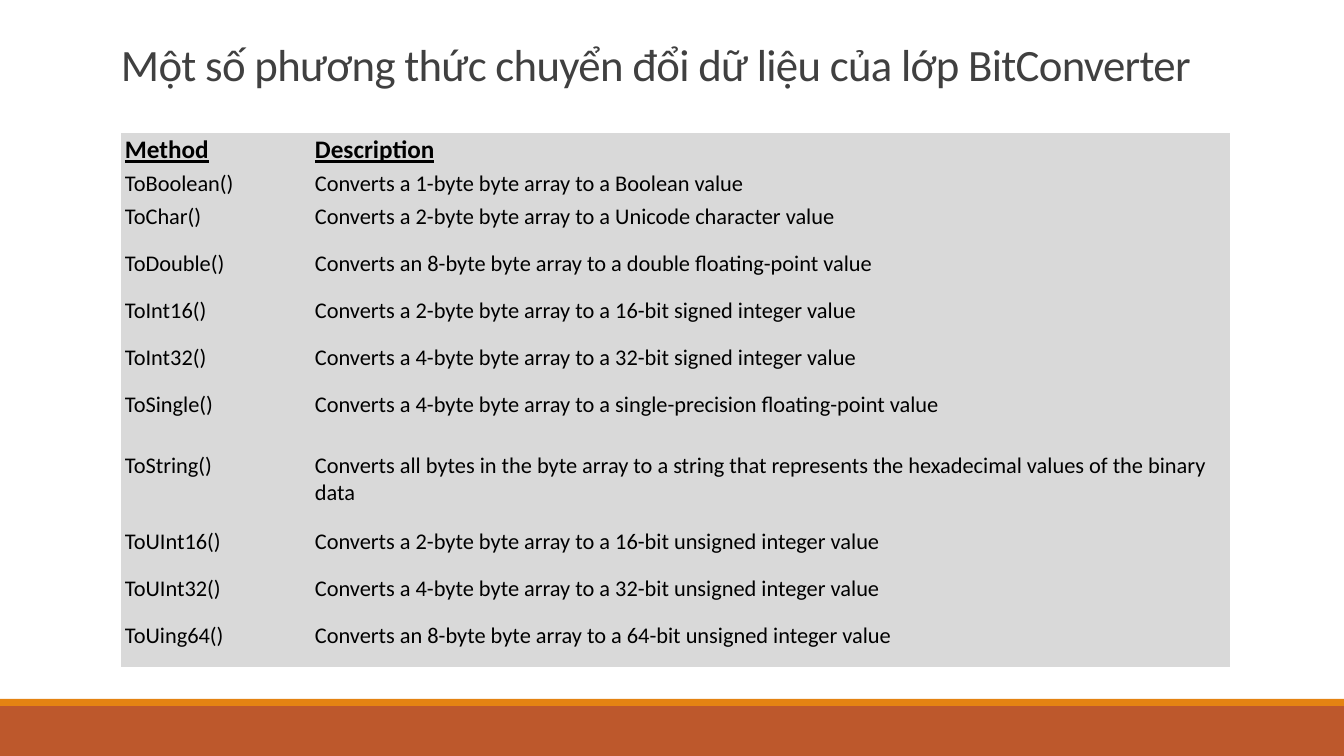
from dataclasses import dataclass

from pptx import Presentation
from pptx.dml.color import RGBColor as Color
from pptx.enum.shapes import MSO_SHAPE as Preset
from pptx.enum.text import MSO_ANCHOR as Anchor
from pptx.oxml.ns import qn
from pptx.util import Emu, Pt

PX_PER_INCH = 100.8
NO_GRID_STYLE = "{2D5ABB26-0587-4C30-8999-92F81FD0307C}"

TITLE = "Một số phương thức chuyển đổi dữ liệu của lớp BitConverter"
METHODS = [
    ("Method", "Description", 35),
    ("ToBoolean()", "Converts a 1-byte byte array to a Boolean value", 33),
    ("ToChar()", "Converts a 2-byte byte array to a Unicode character value", 47),
    ("ToDouble()", "Converts an 8-byte byte array to a double floating-point value", 47),
    ("ToInt16()", "Converts a 2-byte byte array to a 16-bit signed integer value", 47),
    ("ToInt32()", "Converts a 4-byte byte array to a 32-bit signed integer value", 47),
    ("ToSingle()", "Converts a 4-byte byte array to a single-precision floating-point value", 61),
    ("ToString()", "Converts all bytes in the byte array to a string that represents "
     "the hexadecimal values of the binary data", 76),
    ("ToUInt16()", "Converts a 2-byte byte array to a 16-bit unsigned integer value", 47),
    ("ToUInt32()", "Converts a 4-byte byte array to a 32-bit unsigned integer value", 47),
    ("ToUing64()", "Converts an 8-byte byte array to a 64-bit unsigned integer value", 47),
]


@dataclass(frozen=True)
class Theme:
    """Colours and type sizes of the slide."""
    font: str = "Calibri"
    title: Color = Color.from_string("404040")
    text: Color = Color.from_string("000000")
    cell: Color = Color.from_string("D9D9D9")
    band: Color = Color.from_string("BD582C")
    stripe: Color = Color.from_string("E48312")
    title_size: int = 32
    header_size: int = 18
    body_size: int = 16


THEME = Theme()


def px(length):
    """Turn pixels into EMU."""
    return Emu(round(length * 914400 / PX_PER_INCH))


def set_font(para, size, color):
    """Give a paragraph the theme font in a size and colour."""
    para.font.name = THEME.font
    para.font.size = Pt(size)
    para.font.color.rgb = color


def add_footer(page, left, top, width, height):
    """Draw the footer: a thin stripe above a broad band."""
    stripe_height = 7
    bars = [
        (top + stripe_height, height - stripe_height, THEME.band),
        (top, stripe_height, THEME.stripe),
    ]
    for bar_top, bar_height, color in bars:
        bar = page.shapes.add_shape(
            Preset.RECTANGLE, px(left), px(bar_top), px(width), px(bar_height))
        bar.shadow.inherit = False
        bar.fill.solid()
        bar.fill.fore_color.rgb = color
        bar.line.fill.background()


def add_title(page, left, top, width, height):
    """Write the slide title at the bottom of its box."""
    box = page.shapes.add_textbox(px(left), px(top), px(width), px(height))
    frame = box.text_frame
    frame.word_wrap = True
    frame.vertical_anchor = Anchor.BOTTOM
    para = frame.paragraphs[0]
    para.line_spacing = 0.85
    set_font(para, THEME.title_size, THEME.title)
    span = para.add_run()
    span.text = TITLE
    span._r.get_or_add_rPr().set("spc", "-50")


def fill_cell(cell, text, is_header):
    """Write one cell on the grey fill."""
    cell.fill.solid()
    cell.fill.fore_color.rgb = THEME.cell
    cell.margin_left = cell.margin_right = px(4)
    cell.margin_top = cell.margin_bottom = px(2)
    cell.text = text
    para = cell.text_frame.paragraphs[0]
    set_font(para, THEME.header_size if is_header else THEME.body_size, THEME.text)
    para.font.bold = is_header
    para.font.underline = is_header


def add_methods(page, left, top, width):
    """Lay out the table of conversion methods."""
    name_width = 190
    height = sum(row_height for _, _, row_height in METHODS)
    table = page.shapes.add_table(
        len(METHODS), 2, px(left), px(top), px(width), px(height)).table
    table.horz_banding = False
    table.first_row = False
    table._tbl.tblPr.find(qn("a:tableStyleId")).text = NO_GRID_STYLE
    table.columns[0].width = px(name_width)
    table.columns[1].width = px(width - name_width)
    for index, (method, description, row_height) in enumerate(METHODS):
        table.rows[index].height = px(row_height)
        for column, text in enumerate((method, description)):
            fill_cell(table.cell(index, column), text, index == 0)


def main():
    """Build the slide and save the deck."""
    deck = Presentation()
    deck.slide_width, deck.slide_height = px(1344), px(756)
    page = deck.slides.add_slide(deck.slide_layouts[6])
    add_footer(page, 0, 699, 1344, 57)
    add_title(page, 111, 25, 1109, 71)
    add_methods(page, 121, 133, 1109)
    deck.save("out.pptx")


if __name__ == "__main__":
    main()
